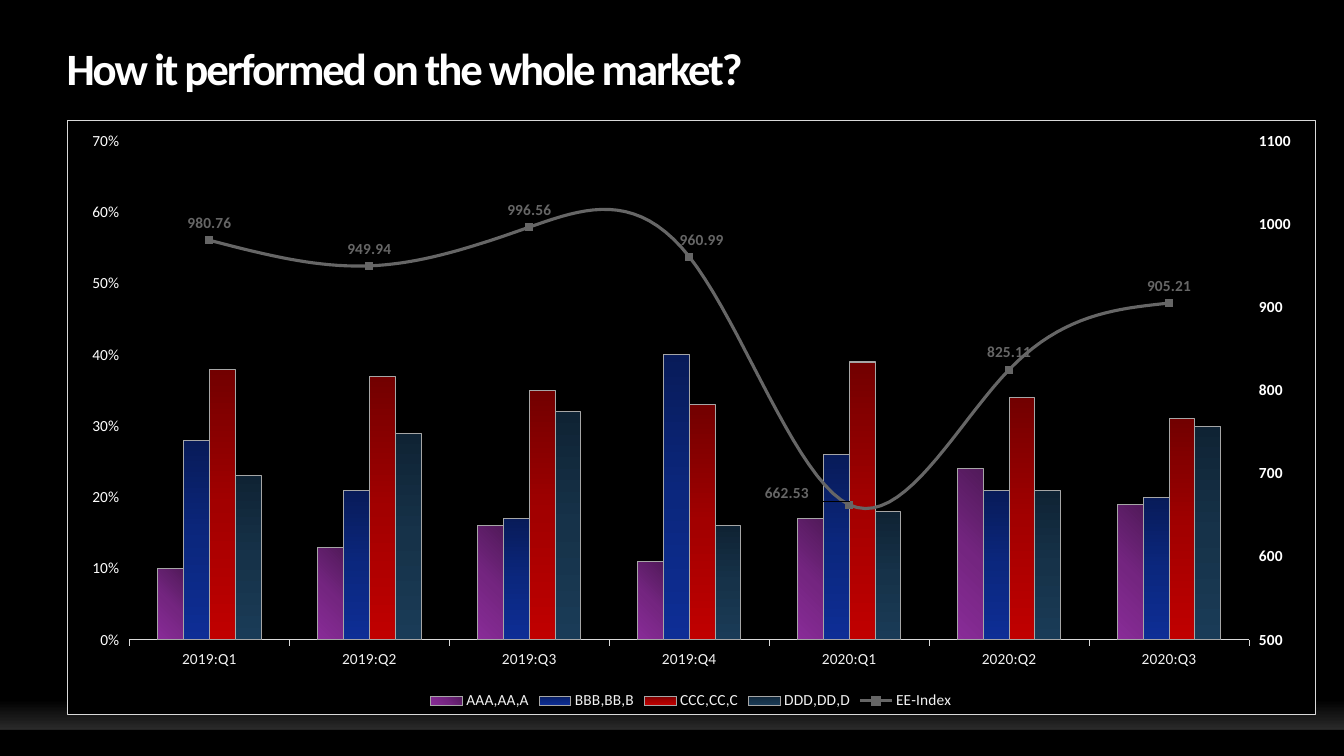
import copy
import dataclasses
import pptx
import pptx.chart.axis
import pptx.chart.data
import pptx.dml.color
import pptx.enum.chart
import pptx.enum.shapes
import pptx.enum.text
import pptx.oxml
import pptx.oxml.ns
import pptx.util

RGB = pptx.dml.color.RGBColor
Inches = pptx.util.Inches
Pt = pptx.util.Pt
FONT = "Calibri"
BLACK = RGB(0x00, 0x00, 0x00)
WHITE = RGB(0xFF, 0xFF, 0xFF)
PALE = RGB(0xF2, 0xF2, 0xF2)
RULE = RGB(0xD9, 0xD9, 0xD9)
EDGE = RGB(0xA6, 0xA6, 0xA6)
GRAY = RGB(0x66, 0x66, 0x66)
GLOW = RGB(0x2A, 0x2A, 0x2A)
QUARTERS = ["2019:Q1", "2019:Q2", "2019:Q3", "2019:Q4", "2020:Q1", "2020:Q2", "2020:Q3"]


@dataclasses.dataclass
class Bar:
    name: str
    vals: list[float]
    tones: list[RGB]
    angle: int = 270


@dataclasses.dataclass
class Nudge:
    index: int
    x: float
    y: float


BARS = [
    Bar("AAA,AA,A", [0.1, 0.13, 0.16, 0.11, 0.17, 0.24, 0.19],
        [RGB(0x51, 0x1A, 0x5A), RGB(0x74, 0x25, 0x80), RGB(0x89, 0x2C, 0x98)], 225),
    Bar("BBB,BB,B", [0.28, 0.21, 0.17, 0.4, 0.26, 0.21, 0.2],
        [RGB(0x08, 0x1B, 0x59), RGB(0x0B, 0x27, 0x7E), RGB(0x0E, 0x2E, 0x96)]),
    Bar("CCC,CC,C", [0.38, 0.37, 0.35, 0.33, 0.39, 0.34, 0.31],
        [RGB(0x72, 0x00, 0x00), RGB(0xA2, 0x00, 0x00), RGB(0xC0, 0x00, 0x00)]),
    Bar("DDD,DD,D", [0.23, 0.29, 0.32, 0.16, 0.18, 0.21, 0.3],
        [RGB(0x0F, 0x23, 0x34), RGB(0x16, 0x32, 0x49), RGB(0x1A, 0x3B, 0x57)]),
]
INDEX = [980.76, 949.94, 996.56, 960.99, 662.53, 825.11, 905.21]
NUDGES = [Nudge(3, 0.01, 0), Nudge(4, -0.05, 0.01)]


def node(tag: str, body: str):
    return pptx.oxml.parse_xml(f"<c:{tag} {pptx.oxml.ns.nsdecls('c', 'a')}>{body}</c:{tag}>")


def style(font, size: float, color: RGB, bold: bool = False) -> None:
    font.name, font.size, font.bold = FONT, Pt(size), bold
    font.color.rgb = color


def shade(fill, owner, tones: list[RGB], angle: int) -> None:
    """Fill with evenly spaced gradient stops."""
    fill.gradient()
    fill.gradient_angle = angle
    stops = owner.xpath(".//a:gsLst")[0]
    for _ in tones[2:]:
        stops.append(copy.deepcopy(stops[0]))
    for i, (stop, tone) in enumerate(zip(fill.gradient_stops, tones)):
        stop.position = i / (len(tones) - 1)
        stop.color.rgb = tone


def band(slide, top: float, height: float):
    shape = slide.shapes.add_shape(pptx.enum.shapes.MSO_SHAPE.RECTANGLE,
                                   0, Inches(top), Inches(13.33), Inches(height))
    shape.shadow.inherit = False
    shape.line.fill.background()
    return shape


def scale(axis, low: float, high: float, step: float, form: str, bold: bool) -> None:
    axis.minimum_scale, axis.maximum_scale, axis.major_unit = low, high, step
    axis.has_major_gridlines = False
    axis.format.line.fill.background()
    axis.tick_labels.number_format = form
    axis.tick_labels.number_format_is_linked = False
    style(axis.tick_labels.font, 11, WHITE, bold)


def split(chart) -> None:
    """Move the last series to a line plot on its own right axis."""
    area = chart._chartSpace.xpath(".//c:plotArea")[0]
    bars = area.xpath("c:barChart")[0]
    last = bars.xpath("c:ser")[-1]
    for flag in last.xpath("c:invertIfNegative"):
        last.remove(flag)
    line = node("lineChart", '<c:grouping val="standard"/><c:varyColors val="0"/>'
                '<c:marker val="1"/><c:axId val="111"/><c:axId val="222"/>')
    line.insert(2, last)
    bars.addnext(line)

    cat, val = area.xpath("c:catAx")[0], area.xpath("c:valAx")[0]
    base, right = copy.deepcopy(cat), copy.deepcopy(val)
    for axis, own, other in ((base, "111", "222"), (right, "222", "111")):
        axis.xpath("c:axId")[0].set("val", own)
        axis.xpath("c:crossAx")[0].set("val", other)
    right.xpath("c:axPos")[0].set("val", "r")
    right.xpath("c:crosses")[0].set("val", "max")
    val.addnext(right)
    right.addnext(base)
    pptx.chart.axis.CategoryAxis(base).visible = False
    scale(pptx.chart.axis.ValueAxis(right), 500, 1100, 100, "General", True)


def trend(series) -> None:
    series.smooth = True
    series.format.line.color.rgb = GRAY
    series.format.line.width = Pt(2.25)
    mark = series.marker
    mark.style, mark.size = pptx.enum.chart.XL_MARKER_STYLE.SQUARE, 5
    mark.format.fill.solid()
    mark.format.fill.fore_color.rgb = GRAY
    mark.format.line.color.rgb = GRAY
    above = pptx.enum.chart.XL_LABEL_POSITION.ABOVE
    labels = series.data_labels
    labels.show_value, labels.position = True, above
    labels.number_format, labels.number_format_is_linked = "#,##0.00", False
    style(labels.font, 11, GRAY, True)
    for nudge in NUDGES:
        label = series.points[nudge.index].data_label
        label.position = above
        style(label.font, 11, GRAY, True)
        spot = series._element.xpath(f"c:dLbls/c:dLbl[c:idx/@val='{nudge.index}']")[0]
        spot.insert(1, node("layout", f'<c:manualLayout><c:x val="{nudge.x}"/>'
                            f'<c:y val="{nudge.y}"/></c:manualLayout>'))


def plot(slide) -> None:
    data = pptx.chart.data.CategoryChartData()
    data.categories = QUARTERS
    for bar in BARS:
        data.add_series(bar.name, bar.vals, "0%")
    data.add_series("EE-Index", INDEX, "#,##0.00")
    chart = slide.shapes.add_chart(
        pptx.enum.chart.XL_CHART_TYPE.COLUMN_CLUSTERED,
        Inches(0.66), Inches(1.19), Inches(12.39), Inches(5.9), data).chart
    style(chart.font, 10, BLACK)
    chart.has_title = False
    chart.has_legend = True
    chart.legend.position = pptx.enum.chart.XL_LEGEND_POSITION.BOTTOM
    chart.legend.include_in_layout = False
    style(chart.legend.font, 11, PALE)

    # Frame and plot area
    space = chart._chartSpace
    space.xpath("c:chart")[0].addnext(node(
        "spPr", f'<a:solidFill><a:srgbClr val="{BLACK}"/></a:solidFill><a:ln w="9525">'
        f'<a:solidFill><a:srgbClr val="{RULE}"/></a:solidFill></a:ln>'))
    area = space.xpath(".//c:plotArea")[0]
    for old in area.xpath("c:layout"):
        area.remove(old)
    sides = {"x": 0.05, "y": 0.035, "w": 0.897, "h": 0.84}
    area.insert(0, node("layout", '<c:manualLayout><c:layoutTarget val="inner"/>'
                        '<c:xMode val="edge"/><c:yMode val="edge"/>'
                        + "".join(f'<c:{k} val="{v:.2f}"/>' if k in "xh" else f'<c:{k} val="{v}"/>'
                                  for k, v in sides.items())
                        + "</c:manualLayout>"))

    # Axes
    cat = chart.category_axis
    cat.format.line.color.rgb = RULE
    cat.format.line.width = Pt(0.75)
    style(cat.tick_labels.font, 11, PALE)
    scale(chart.value_axis, 0, 0.7, 0.1, "0%", False)
    split(chart)

    # Series
    columns, line = chart.plots
    columns.gap_width, columns.overlap, columns.vary_by_categories = 219, 0, False
    for series, bar in zip(columns.series, BARS):
        shade(series.format.fill, series._element, bar.tones, bar.angle)
        series.format.line.color.rgb = EDGE
        series.format.line.width = Pt(0.75)
    trend(line.series[0])


def title(slide) -> None:
    frame = slide.shapes.add_textbox(Inches(0.66), Inches(0.47),
                                     Inches(10.91), Inches(0.47)).text_frame
    frame.word_wrap = True
    frame.vertical_anchor = pptx.enum.text.MSO_ANCHOR.MIDDLE
    frame.margin_left = frame.margin_right = frame.margin_top = frame.margin_bottom = 0
    para = frame.paragraphs[0]
    para.text = "How it performed on the whole market?"
    para.line_spacing = 0.9
    style(para.font, 32, WHITE, True)
    para._p.xpath("a:pPr/a:defRPr")[0].set("spc", "-150")


def main() -> None:
    deck = pptx.Presentation()
    deck.slide_width, deck.slide_height = Inches(13.33), Inches(7.5)
    slide = deck.slides.add_slide(deck.slide_layouts[6])
    slide.background.fill.solid()
    slide.background.fill.fore_color.rgb = BLACK

    # Footer glow and strip
    glow = band(slide, 6.94, 0.3)
    shade(glow.fill, glow._element, [BLACK, GLOW], 270)
    strip = band(slide, 7.24, 0.26)
    strip.fill.solid()
    strip.fill.fore_color.rgb = BLACK

    title(slide)
    plot(slide)
    deck.save("out.pptx")


if __name__ == "__main__":
    main()
